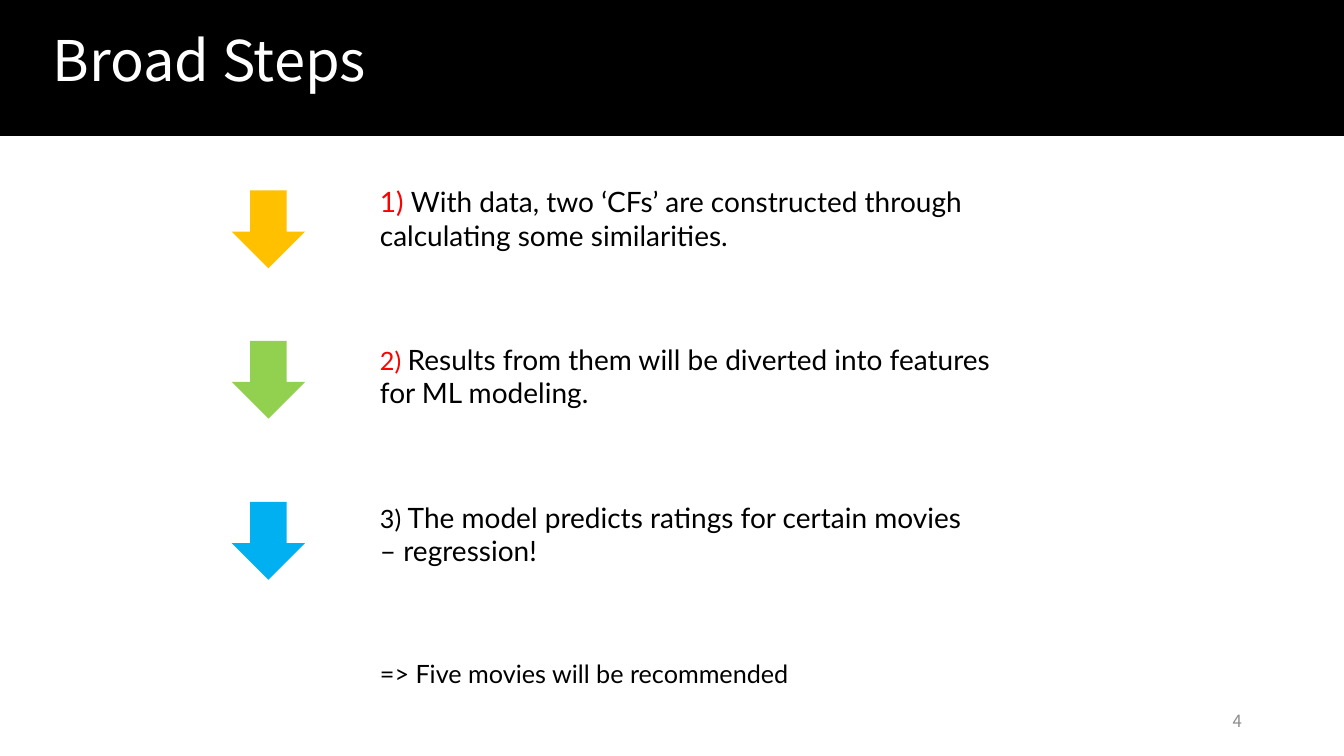
from pptx import Presentation
from pptx.dml.color import RGBColor
from pptx.enum.shapes import MSO_SHAPE as Preset
from pptx.enum.text import MSO_ANCHOR as Anchor, MSO_AUTO_SIZE as AutoSize, PP_ALIGN as Align
from pptx.oxml.ns import qn
from pptx.util import Cm, Pt

BLACK = RGBColor(0x00, 0x00, 0x00)
WHITE = RGBColor(0xFF, 0xFF, 0xFF)
RED = RGBColor(0xFF, 0x00, 0x00)
GREY = RGBColor(0x8C, 0x8C, 0x8C)
AMBER = RGBColor(0xFF, 0xC0, 0x00)
GREEN = RGBColor(0x92, 0xD0, 0x50)
BLUE = RGBColor(0x00, 0xB0, 0xF0)

STEPS = [
    [[("1) ", 20, RED), ("With data, two ‘CFs’ are constructed through", 20, BLACK)],
     [("calculating some similarities.", 20, BLACK)]],
    [[("2) ", 18, RED), ("Results from them will be diverted into features", 20, BLACK)],
     [("for ML modeling.", 20, BLACK)]],
    [[("3) ", 18, BLACK), ("The model predicts ratings for certain movies", 20, BLACK)],
     [("– regression!", 20, BLACK)]],
    [[("=> Five movies will be recommended", 18, BLACK)]],
]
ARROWS = [(4.8, AMBER), (8.59, GREEN), (12.65, BLUE)]


def add_span(para, text, size=20, color=BLACK, font="Lato"):
    span = para.add_run()
    span.text = text
    span.font.size = Pt(size)
    span.font.color.rgb = color
    span.font.name = font


class SlideBuilder:
    heading_font = "Noto Sans CJK KR"
    body_font = "Lato"
    step_gap = Pt(64.8)

    def __init__(self, page):
        self.page = page

    def place(self, box, left, top, width, height, anchor=Anchor.TOP):
        box.left, box.top, box.width, box.height = map(Cm, (left, top, width, height))
        frame = box.text_frame
        frame.word_wrap = True
        frame.auto_size = AutoSize.NONE
        frame.vertical_anchor = anchor
        return frame

    def shape(self, preset, left, top, width, height, color):
        box = self.page.shapes.add_shape(preset, *map(Cm, (left, top, width, height)))
        box.shadow.inherit = False
        box.fill.solid()
        box.fill.fore_color.rgb = color
        box.line.fill.background()
        return box

    def banner(self, height, color):
        box = self.shape(Preset.RECTANGLE, 0, 0, 33.87, height, color)
        box.line.color.rgb = color
        box.line.width = Pt(1)
        self.page.shapes._spTree.insert(2, box._element)

    def title(self, text, *bounds):
        para = self.place(self.page.shapes.title, *bounds).paragraphs[0]
        para.alignment = Align.LEFT
        para.line_spacing = 0.9
        add_span(para, text, size=40, color=WHITE, font=self.heading_font)

    def steps(self, steps, *bounds):
        frame = self.place(self.page.placeholders[1], *bounds)
        para = frame.paragraphs[0]
        for step_index, lines in enumerate(steps):
            for line_index, line in enumerate(lines):
                if step_index or line_index:
                    para = frame.add_paragraph()
                properties = para._p.get_or_add_pPr()
                properties.set("marL", "0")
                properties.set("indent", "0")
                properties.append(properties.makeelement(qn("a:buNone"), {}))
                para.line_spacing = 1.0
                para.space_before = self.step_gap if step_index and not line_index else Pt(0)
                for text, size, color in line:
                    add_span(para, text, size=size, color=color, font=self.body_font)

    def page_number(self, text, *bounds):
        box = self.page.shapes.add_textbox(0, 0, 0, 0)
        para = self.place(box, *bounds, anchor=Anchor.MIDDLE).paragraphs[0]
        para.alignment = Align.RIGHT
        add_span(para, text, size=12, color=GREY, font=self.heading_font)


deck = Presentation()
deck.slide_width, deck.slide_height = Cm(33.87), Cm(19.05)
builder = SlideBuilder(deck.slides.add_slide(deck.slide_layouts[1]))
builder.banner(3.4, BLACK)
builder.title("Broad Steps", 1.07, 0.71, 16.89, 1.96)
builder.steps(STEPS, 9.32, 4.52, 18.42, 13.84)
builder.page_number("4", 23.93, 17.65, 7.62, 1.02)
for top, color in ARROWS:
    builder.shape(Preset.DOWN_ARROW, 5.84, top, 1.85, 1.96, color)
deck.save("out.pptx")
